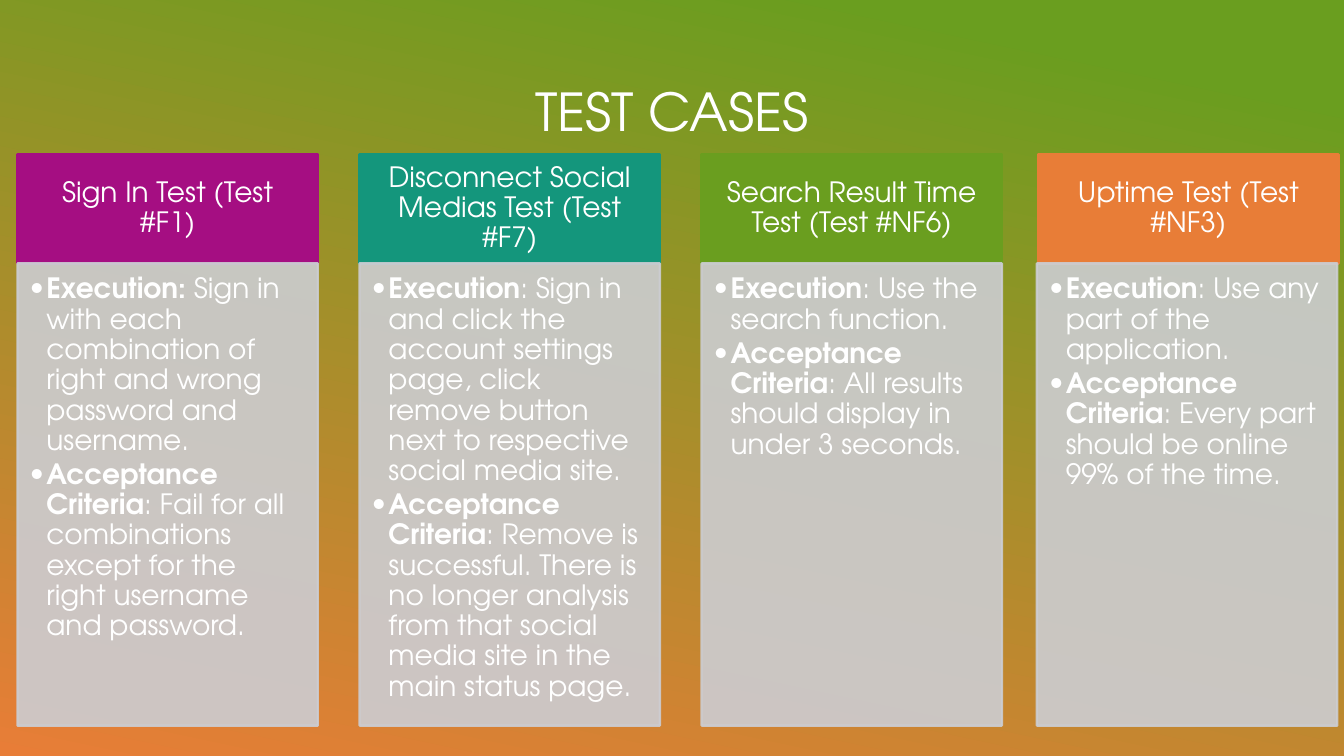
from lxml.etree import SubElement
from pptx import Presentation
from pptx.dml.color import RGBColor
from pptx.enum.shapes import MSO_SHAPE
from pptx.enum.text import MSO_ANCHOR as ANCHOR, PP_ALIGN as ALIGN
from pptx.oxml.ns import qn
from pptx.util import Pt

PX = 4572  # 200 px to the inch
FONT = "TeX Gyre Adventor"
COLORS = {"text": "FFFFFF", "panel": "CCCDD2", "purple": "A50E82",
          "teal": "14967C", "green": "6A9E1F", "orange": "E87D37"}

# left of header, left of panel, header colour, title, labelled paragraphs
CASES = [
    (26, 26, "purple", "Sign In Test (Test #F1)", [
        ("Execution: ", "Sign in with each combination of right and wrong "
                        "password and username."),
        ("Acceptance Criteria", ": Fail for all combinations except for the "
                                "right username and password.")]),
    (535, 535, "teal", "Disconnect Social Medias Test (Test #F7)", [
        ("Execution", ": Sign in and click the account settings page, click "
                      "remove button next to respective social media site."),
        ("Acceptance Criteria", ": Remove is successful. There is no longer "
                                "analysis from that social media site in the "
                                "main status page.")]),
    (1044, 1044, "green", "Search Result Time Test (Test #NF6)", [
        ("Execution", ": Use the search function."),
        ("Acceptance Criteria", ": All results should display in under "
                                "3 seconds.")]),
    (1545, 1543, "orange", "Uptime Test (Test #NF3)", [
        ("Execution", ": Use any part of the application."),
        ("Acceptance Criteria", ": Every part should be online 99% of "
                                "the time.")]),
]
CARD_W, HEADER_Y, HEADER_H, PANEL_H = 447, 230, 162, 688


def rgb(name):
    return RGBColor.from_string(COLORS[name])


def add_run(p, text, size=15, bold=False, color="text"):
    r = p.add_run()
    r.text = text
    r.font.name, r.font.size, r.font.bold = FONT, Pt(size), bold
    r.font.color.rgb = rgb(color)


def set_frame(tf, insets, anchor=ANCHOR.TOP):
    """Wrap the text; insets run left, top, right, bottom."""
    tf.word_wrap = True
    tf.vertical_anchor = anchor
    (tf.margin_left, tf.margin_top,
     tf.margin_right, tf.margin_bottom) = [v * PX for v in insets]


def add_bullet(p, indent):
    pPr = p._p.get_or_add_pPr()
    pPr.set("marL", str(indent * PX))
    pPr.set("indent", str(-indent * PX))
    SubElement(pPr, qn("a:buFont"), typeface=FONT)
    SubElement(pPr, qn("a:buChar"), char="•")


class Deck:
    def __init__(self, width, height):
        self.prs = Presentation()
        self.prs.slide_width, self.prs.slide_height = width * PX, height * PX
        self.s = self.prs.slides.add_slide(self.prs.slide_layouts[6])

    def background(self, stops, angle):
        fill = self.s.background.fill
        fill.gradient()
        fill.gradient_angle = angle
        for stop, (position, color) in zip(fill.gradient_stops, stops):
            stop.position = position
            stop.color.rgb = rgb(color)

    def title(self, text, x, y, w, h):
        tf = self.s.shapes.add_textbox(x * PX, y * PX, w * PX, h * PX).text_frame
        set_frame(tf, (20, 20, 20, 20))
        p = tf.paragraphs[0]
        p.alignment = ALIGN.CENTER
        add_run(p, text, size=28)

    def rect(self, x, y, w, h, color, opacity=100):
        sp = self.s.shapes.add_shape(MSO_SHAPE.RECTANGLE,
                                     x * PX, y * PX, w * PX, h * PX)
        sp.shadow.inherit = False
        sp.fill.solid()
        sp.fill.fore_color.rgb = sp.line.color.rgb = rgb(color)
        sp.line.width = Pt(1.25)
        if opacity < 100:
            for clr in sp._element.spPr.iter(qn("a:srgbClr")):
                SubElement(clr, qn("a:alpha"), val=str(opacity * 1000))
        return sp

    def header(self, text, x, color):
        tf = self.rect(x, HEADER_Y, CARD_W, HEADER_H, color).text_frame
        set_frame(tf, (24, 14, 24, 15), ANCHOR.MIDDLE)
        p = tf.paragraphs[0]
        p.alignment, p.line_spacing = ALIGN.CENTER, 0.9
        add_run(p, text)

    def panel(self, items, x):
        sp = self.rect(x, HEADER_Y + HEADER_H, CARD_W, PANEL_H, "panel", 90)
        tf = sp.text_frame
        set_frame(tf, (18, 17, 24, 26))
        for i, (label, detail) in enumerate(items):
            p = tf.add_paragraph() if i else tf.paragraphs[0]
            add_bullet(p, 25)
            p.alignment, p.line_spacing = ALIGN.LEFT, 0.9
            p.space_after = Pt(2)
            add_run(p, label, bold=True)
            add_run(p, detail)


def main():
    deck = Deck(2000, 1125)
    deck.background([(0.1, "green"), (1, "orange")], angle=258)
    deck.title("TEST CASES", 68, 98, 1864, 126)
    for header_x, panel_x, color, title, items in CASES:
        deck.header(title, header_x, color)
        deck.panel(items, panel_x)
    deck.prs.save("out.pptx")


if __name__ == "__main__":
    main()
